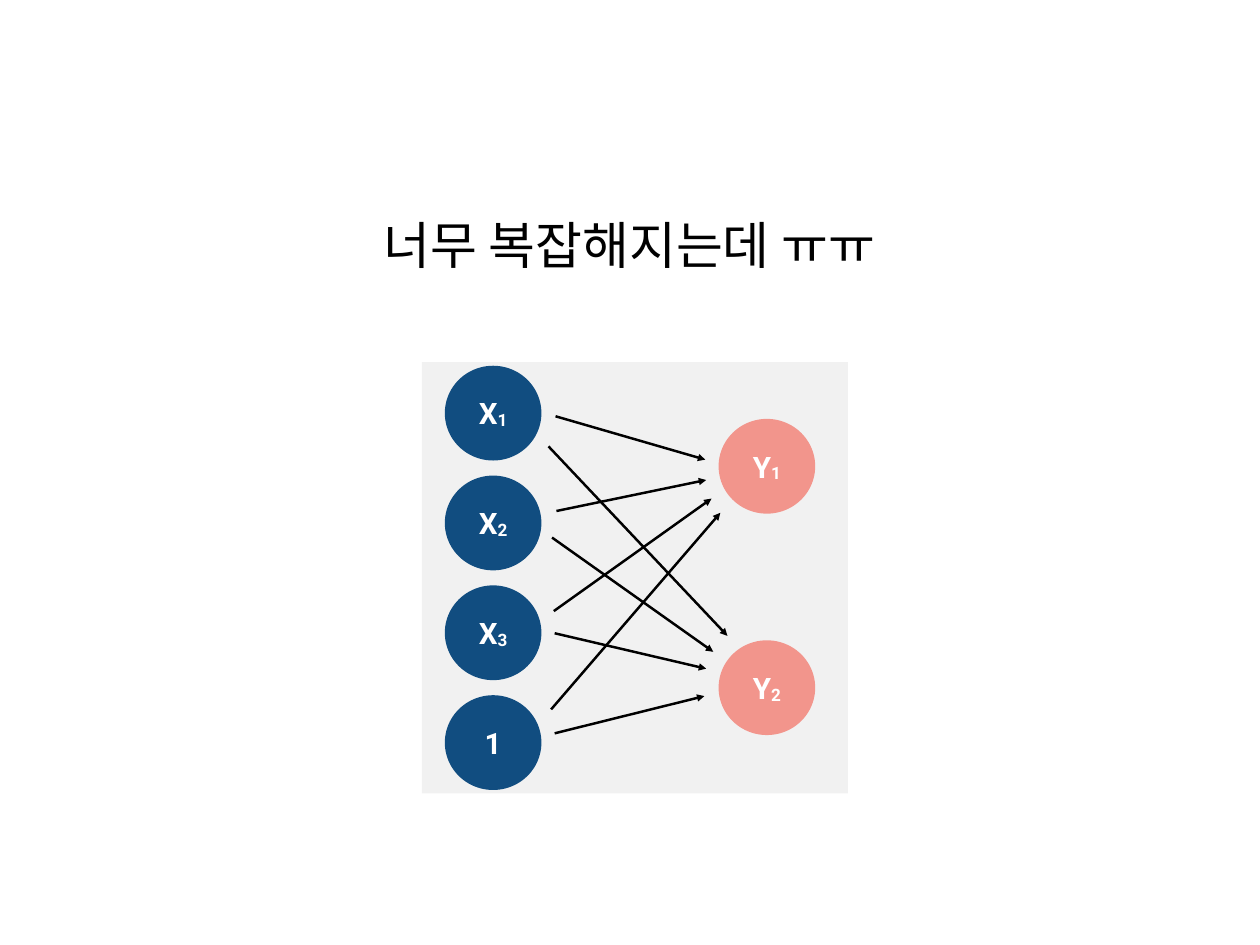
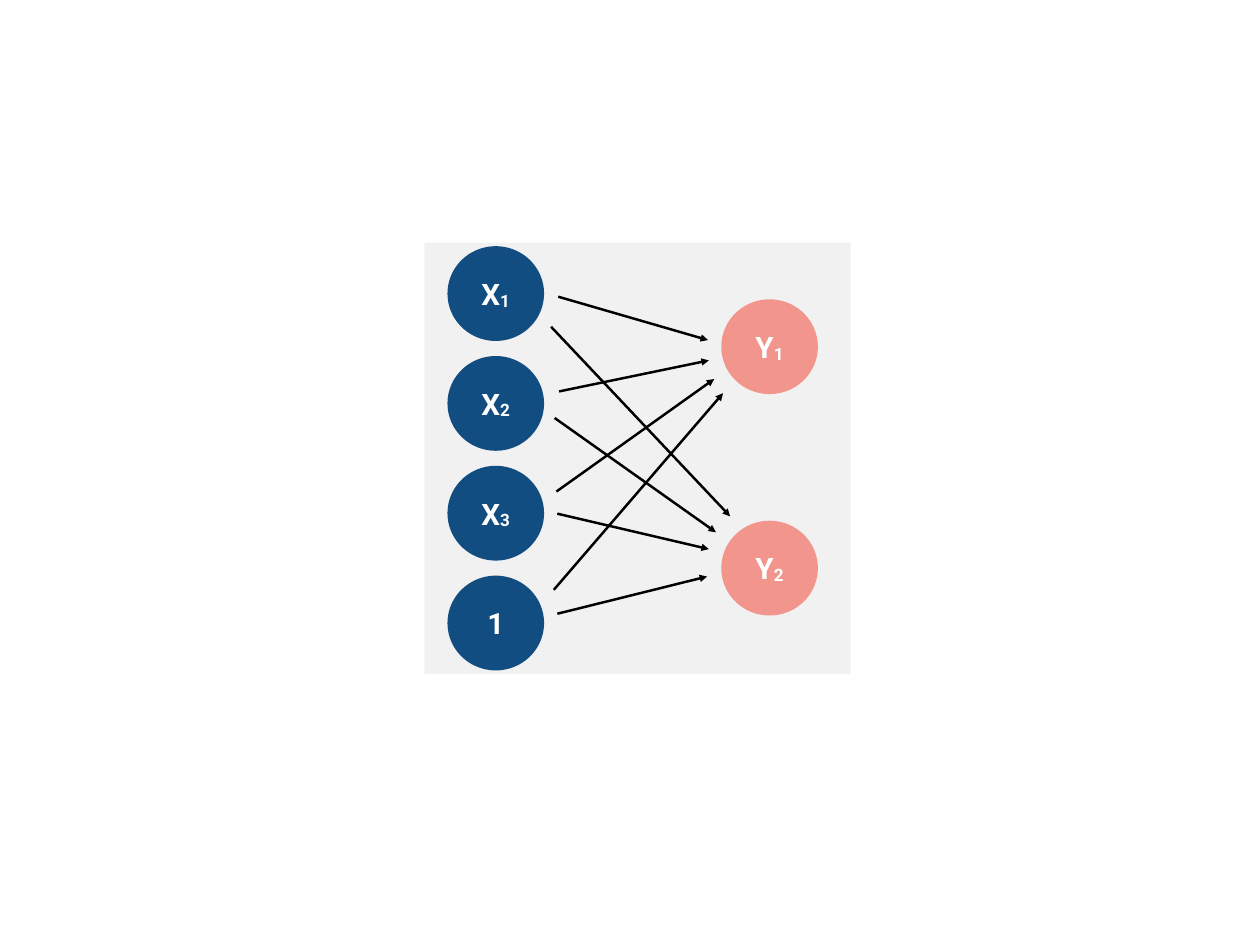
from lxml.etree import SubElement
from pptx import Presentation
from pptx.dml.color import RGBColor
from pptx.enum.shapes import MSO_CONNECTOR, MSO_SHAPE
from pptx.enum.text import MSO_ANCHOR, PP_ALIGN
from pptx.oxml.ns import qn
from pptx.util import Inches, Pt

BLACK = RGBColor(0x00, 0x00, 0x00)
WHITE = RGBColor(0xFF, 0xFF, 0xFF)
GRAY = RGBColor(0x92, 0x92, 0x92)
NAVY = RGBColor(0x11, 0x4D, 0x80)
CORAL = RGBColor(0xF2, 0x95, 0x8C)

TITLE_FONT = "Arial"
NODE_FONT = "Roboto"
INSET = Inches(0.06)

# Everything in the network is placed relative to its panel, in inches.
PANEL_SIZE = (4.81, 4.87)
NODE_SIZE = (1.09, 1.07)
INPUTS = [("X", "1"), ("X", "2"), ("X", "3"), ("1", "")]
INPUT_START, INPUT_PITCH = (0.26, 0.04), 1.24
OUTPUTS = [("Y", "1"), ("Y", "2")]
OUTPUT_START, OUTPUT_PITCH = (3.35, 0.64), 2.5
ARROWS = [
    ((1.51, 0.61), (3.2, 1.1)),
    ((1.43, 0.95), (3.45, 3.09)),
    ((1.52, 1.68), (3.21, 1.33)),
    ((1.47, 1.98), (3.29, 3.27)),
    ((1.49, 2.81), (3.27, 1.54)),
    ((1.5, 3.06), (3.21, 3.46)),
    ((1.46, 3.92), (3.37, 1.7)),
    ((1.5, 4.19), (3.19, 3.77)),
]


def add_filled_shape(page, kind, left, top, size, color):
    shape = page.shapes.add_shape(kind, Inches(left), Inches(top), *map(Inches, size))
    shape.shadow.inherit = False
    shape.fill.solid()
    shape.fill.fore_color.rgb = color
    shape.line.fill.background()
    return shape


def center_text(frame, font_name, size, color, bold=False):
    """Style the frame's only paragraph and return it."""
    frame.vertical_anchor = MSO_ANCHOR.MIDDLE
    frame.margin_left = frame.margin_right = INSET
    frame.margin_top = frame.margin_bottom = INSET
    para = frame.paragraphs[0]
    para.alignment = PP_ALIGN.CENTER
    para.font.name = font_name
    para.font.size = Pt(size)
    para.font.bold = bold
    para.font.color.rgb = color
    return para


def add_title(page, text):
    box = page.shapes.add_textbox(Inches(1.38), Inches(2.33), Inches(11.44), Inches(0.85))
    box.text_frame.word_wrap = True
    para = center_text(box.text_frame, TITLE_FONT, 41.4, BLACK)
    para.add_run().text = text


def add_panel(page, left, top):
    panel = add_filled_shape(page, MSO_SHAPE.RECTANGLE, left, top, PANEL_SIZE, GRAY)
    color = panel.fill._xPr.find(qn("a:solidFill"))[0]
    SubElement(color, qn("a:alpha")).set("val", "12000")


def add_node(page, left, top, letter, index, color):
    node = add_filled_shape(page, MSO_SHAPE.OVAL, left, top, NODE_SIZE, color)
    node.text_frame.word_wrap = False
    para = center_text(node.text_frame, NODE_FONT, 24, WHITE, bold=True)
    para.add_run().text = letter
    if index:
        span = para.add_run()
        span.text = index
        span._r.get_or_add_rPr().set("baseline", "-6000")


def add_node_column(page, left, top, pitch, labels, color):
    for row, (letter, index) in enumerate(labels):
        add_node(page, left, top + row * pitch, letter, index, color)


def add_arrow(page, start, end):
    arrow = page.shapes.add_connector(MSO_CONNECTOR.STRAIGHT, *map(Inches, start + end))
    arrow.line.color.rgb = BLACK
    arrow.line.width = Pt(2)
    SubElement(arrow.line._get_or_add_ln(), qn("a:tailEnd")).set("type", "triangle")
    SubElement(arrow._element.spPr, qn("a:effectLst"))


def add_network(page, left, top):
    def place(point):
        return left + point[0], top + point[1]

    add_panel(page, left, top)
    add_node_column(page, *place(INPUT_START), INPUT_PITCH, INPUTS, NAVY)
    add_node_column(page, *place(OUTPUT_START), OUTPUT_PITCH, OUTPUTS, CORAL)
    for start, end in ARROWS:
        add_arrow(page, place(start), place(end))


def main():
    deck = Presentation()
    deck.slide_width, deck.slide_height = Inches(14.22), Inches(10.67)
    blank = deck.slide_layouts[6]

    page = deck.slides.add_slide(blank)
    add_network(page, 4.76, 4.09)
    add_title(page, "너무 복잡해지는데 ㅠㅠ")

    page = deck.slides.add_slide(blank)
    add_network(page, 4.79, 2.74)

    deck.save("out.pptx")


if __name__ == "__main__":
    main()
